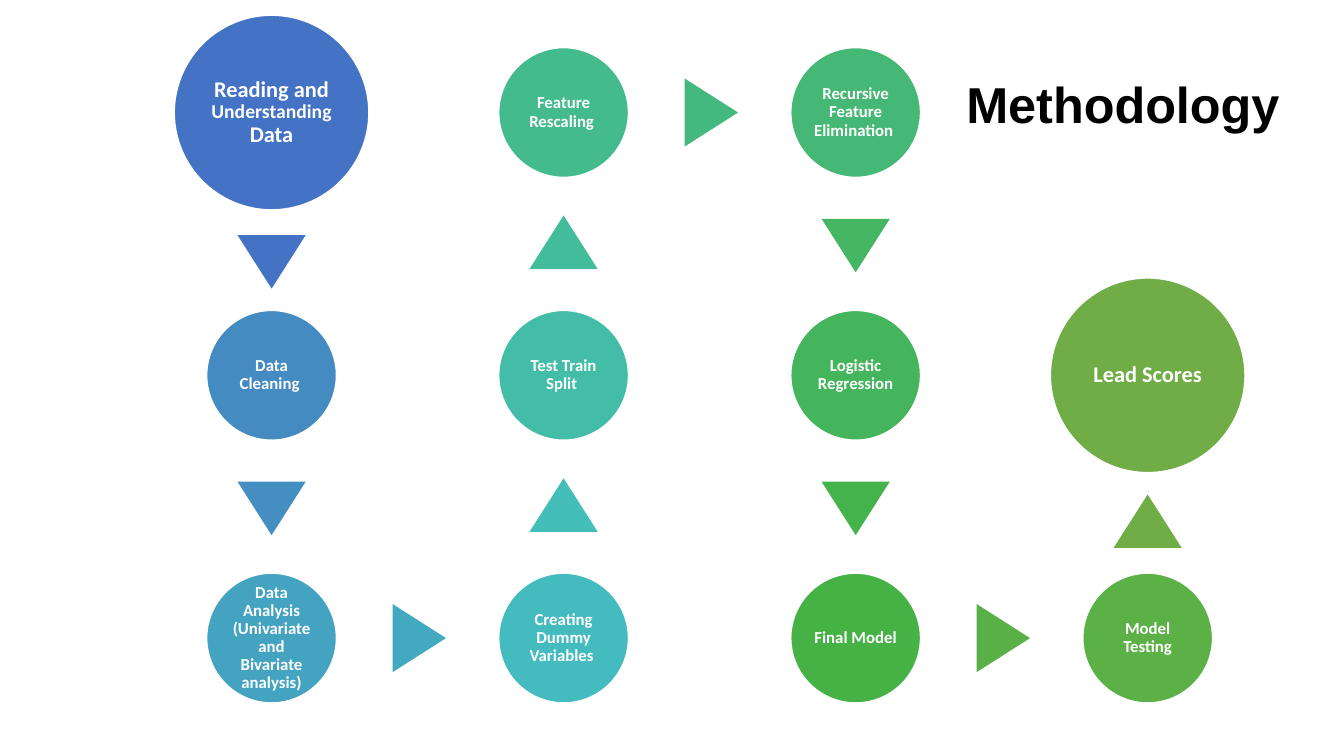
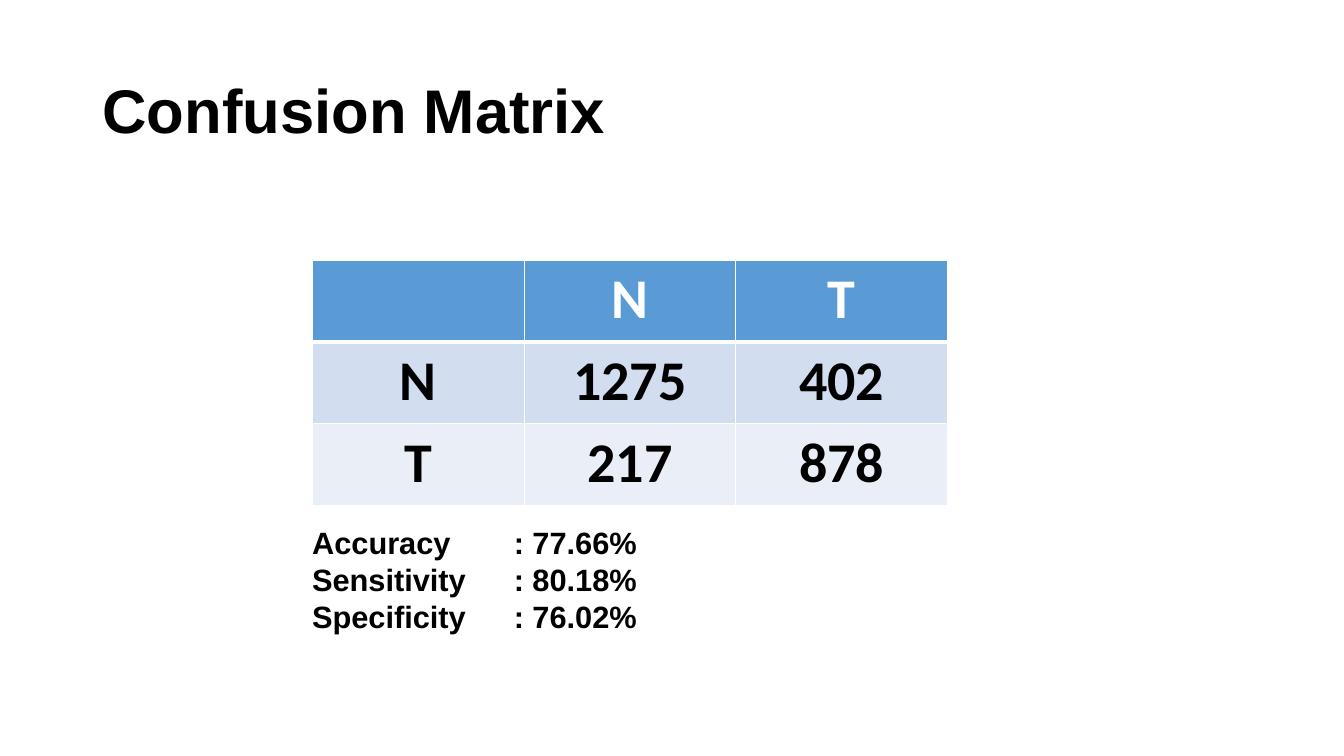
import pptx
import pptx.util
import pptx.dml.color
import pptx.enum.shapes
import pptx.enum.text
import pptx.oxml
import pptx.oxml.ns

Pt = pptx.util.Pt
ALIGN = pptx.enum.text.PP_ALIGN
MIDDLE = pptx.enum.text.MSO_ANCHOR.MIDDLE
AUTO_SIZE = pptx.enum.text.MSO_AUTO_SIZE
SHAPES = pptx.enum.shapes.MSO_SHAPE
BLACK, WHITE = "000000", "FFFFFF"
HEADING_FONT, BODY_FONT = "Arial", "Calibri"


def color(hex_code):
    return pptx.dml.color.RGBColor.from_string(hex_code)


def format_paragraph(paragraph, font_name, size, hex_code, alignment, line_spacing=1.0):
    paragraph.alignment = alignment
    paragraph.line_spacing = line_spacing
    for run in paragraph.runs:
        run.font.name = font_name
        run.font.size = Pt(size)
        run.font.bold = True
        run.font.color.rgb = color(hex_code)


presentation = pptx.Presentation()
presentation.slide_width = Pt(960)
presentation.slide_height = Pt(540)

titles = [
    ("Methodology", (681.2, 48.2, 242, 51.1), 36, ALIGN.CENTER, 1.0),
    ("Confusion Matrix", (66, 28.8, 828, 104.4), 44, ALIGN.LEFT, 0.9),
]
slides = []
for text, box, size, alignment, line_spacing in titles:
    slide = presentation.slides.add_slide(presentation.slide_layouts[5])
    title = slide.shapes.title
    title.left, title.top, title.width, title.height = [Pt(value) for value in box]
    title.text_frame.text = text
    title.text_frame.auto_size = AUTO_SIZE.NONE
    title.text_frame.vertical_anchor = MIDDLE
    format_paragraph(title.text_frame.paragraphs[0], HEADING_FONT, size, BLACK, alignment, line_spacing)
    slides.append(slide)
methodology_slide, matrix_slide = slides

SMALL, LARGE = 92.7, 139
FIRST_X, COLUMN_STEP = 194, 208.6
FIRST_Y, ROW_STEP = 80.4, 187.7
ARROW_WIDTH, ARROW_HEIGHT, ARROW_SHIFT = 48.7, 38.2, 1.2
ROTATIONS = {(0, -1): 0, (1, 0): 90, (0, 1): 180}

steps = [
    (0, 0, LARGE, [("Reading and ", 16), ("Understanding ", 14), ("Data", 16)], "4472C4", "4472C4"),
    (0, 1, SMALL, [("Data Cleaning ", 12)], "448BC2", "448EC2"),
    (0, 2, SMALL, [("Data Analysis (Univariate and Bivariate analysis)", 12)], "44A3C0", "43A9C0"),
    (1, 2, SMALL, [("Creating Dummy Variables ", 12)], "43BBBF", "43BEB9"),
    (1, 1, SMALL, [("Test Train Split ", 12)], "43BDA7", "43BC9C"),
    (1, 0, SMALL, [("Feature Rescaling ", 12)], "43BB8D", "44B97F"),
    (2, 0, SMALL, [("Recursive Feature Elimination ", 12)], "44B874", "45B664"),
    (2, 1, SMALL, [("Logistic Regression", 12)], "45B55D", "45B34B"),
    (2, 2, SMALL, [("Final Model", 12)], "46B246", "59B046"),
    (3, 2, SMALL, [("Model Testing", 12)], "5BB046", "70AD47"),
    (3, 1, LARGE, [("Lead Scores", 16)], "70AD47", None),
]

for index, (column, row, diameter, parts, circle_color, arrow_color) in enumerate(steps):
    center_x = FIRST_X + column * COLUMN_STEP
    center_y = FIRST_Y + row * ROW_STEP
    circle = methodology_slide.shapes.add_shape(
        SHAPES.OVAL, Pt(center_x - diameter / 2), Pt(center_y - diameter / 2), Pt(diameter), Pt(diameter))
    circle.shadow.inherit = False
    circle.fill.solid()
    circle.fill.fore_color.rgb = color(circle_color)
    circle.line.color.rgb = color(WHITE)
    circle.line.width = Pt(1)
    frame = circle.text_frame
    frame.word_wrap = True
    frame.vertical_anchor = MIDDLE
    frame.margin_left = frame.margin_right = frame.margin_top = frame.margin_bottom = Pt(1.3)
    paragraph = frame.paragraphs[0]
    for text, size in parts:
        paragraph.add_run().text = text
    format_paragraph(paragraph, BODY_FONT, 12, WHITE, ALIGN.CENTER, 0.9)
    for run, (text, size) in zip(paragraph.runs, parts):
        run.font.size = Pt(size)

    if arrow_color:
        next_column, next_row, next_diameter = steps[index + 1][:3]
        direction = (next_column - column, next_row - row)
        shift = (diameter - next_diameter) / 4 + ARROW_SHIFT
        arrow_x = center_x + direction[0] * (COLUMN_STEP / 2 + shift)
        arrow_y = center_y + direction[1] * (ROW_STEP / 2 + shift)
        arrow = methodology_slide.shapes.add_shape(
            SHAPES.ISOSCELES_TRIANGLE, Pt(arrow_x - ARROW_WIDTH / 2), Pt(arrow_y - ARROW_HEIGHT / 2),
            Pt(ARROW_WIDTH), Pt(ARROW_HEIGHT))
        arrow.rotation = ROTATIONS[direction]
        arrow.shadow.inherit = False
        arrow.fill.solid()
        arrow.fill.fore_color.rgb = color(arrow_color)
        arrow.line.fill.background()

matrix = [["", "N", "T"], ["N", "1275", "402"], ["T", "217", "878"]]
row_styles = [("5B9BD5", WHITE, 1, 3), ("D2DEEF", BLACK, 3, 1), ("EAEFF7", BLACK, 1, 1)]
table = matrix_slide.shapes.add_table(3, 3, Pt(223.2), Pt(185.8), Pt(453.6), Pt(175.5)).table
for column in table.columns:
    column.width = Pt(151.2)
for row_index, (values, row_style) in enumerate(zip(matrix, row_styles)):
    fill_color, text_color, top_width, bottom_width = row_style
    table.rows[row_index].height = Pt(58.5)
    for column_index, value in enumerate(values):
        cell = table.cell(row_index, column_index)
        cell.fill.solid()
        cell.fill.fore_color.rgb = color(fill_color)
        if value:
            cell.text_frame.text = value
            format_paragraph(cell.text_frame.paragraphs[0], BODY_FONT, 40, text_color, ALIGN.CENTER)
        properties = cell._tc.get_or_add_tcPr()
        borders = [("lnL", 1), ("lnR", 1), ("lnT", top_width), ("lnB", bottom_width)]
        for position, (tag, width) in enumerate(borders):
            properties.insert(position, pptx.oxml.parse_xml(
                f'<a:{tag} {pptx.oxml.ns.nsdecls("a")} w="{Pt(width)}"><a:solidFill>'
                f'<a:srgbClr val="{WHITE}"/></a:solidFill></a:{tag}>'))

scores = ["Accuracy\t: 77.66%", "Sensitivity\t: 80.18%", "Specificity\t: 76.02%"]
score_box = matrix_slide.shapes.add_shape(SHAPES.RECTANGLE, Pt(223), Pt(373.7), Pt(234.7), Pt(79.9))
score_box.shadow.inherit = False
score_box.fill.solid()
score_box.fill.fore_color.rgb = color(WHITE)
score_box.line.fill.background()
frame = score_box.text_frame
frame.word_wrap = True
frame.auto_size = AUTO_SIZE.SHAPE_TO_FIT_TEXT
frame.vertical_anchor = MIDDLE
frame.margin_left = frame.margin_right = frame.margin_top = frame.margin_bottom = 0
frame.text = "\n".join(scores)
for paragraph in frame.paragraphs:
    format_paragraph(paragraph, HEADING_FONT, 22, BLACK, ALIGN.LEFT)
    paragraph._p.get_or_add_pPr().append(pptx.oxml.parse_xml(
        f'<a:tabLst {pptx.oxml.ns.nsdecls("a")}><a:tab pos="{Pt(144)}" algn="l"/></a:tabLst>'))

presentation.save("out.pptx")
